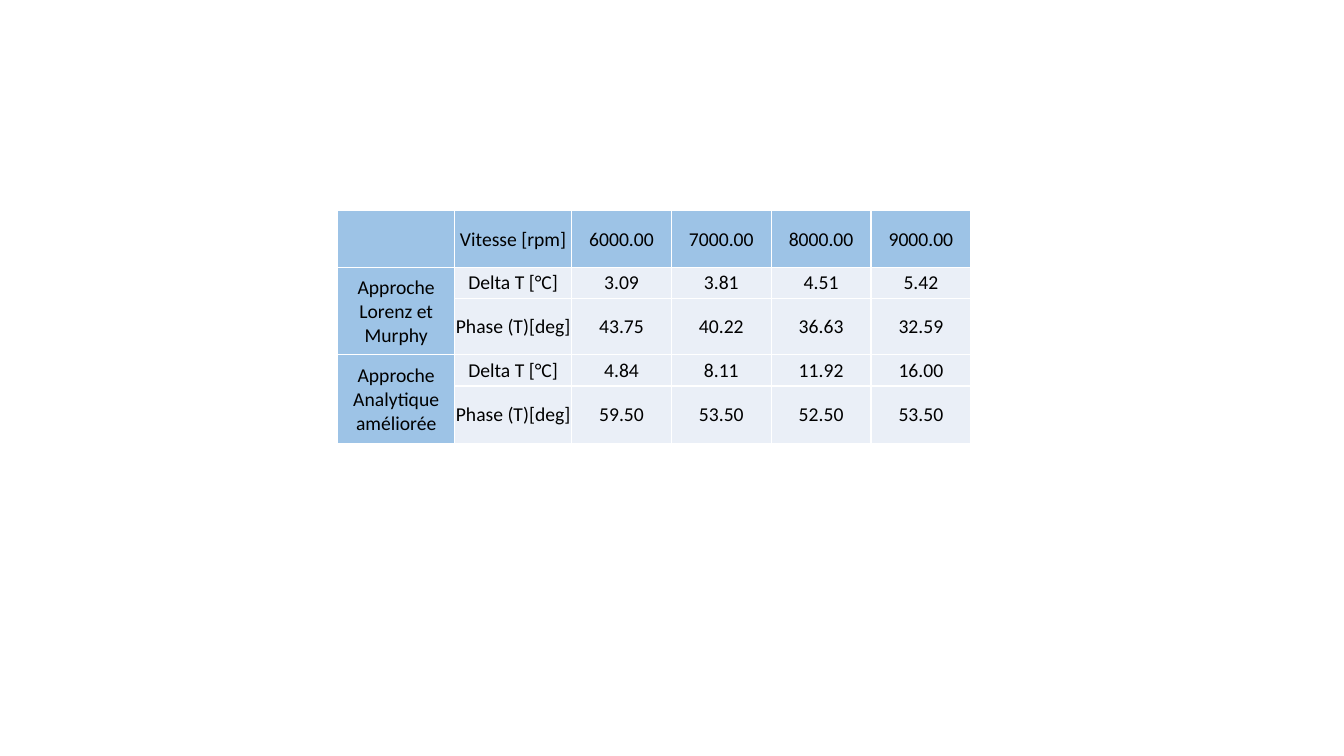
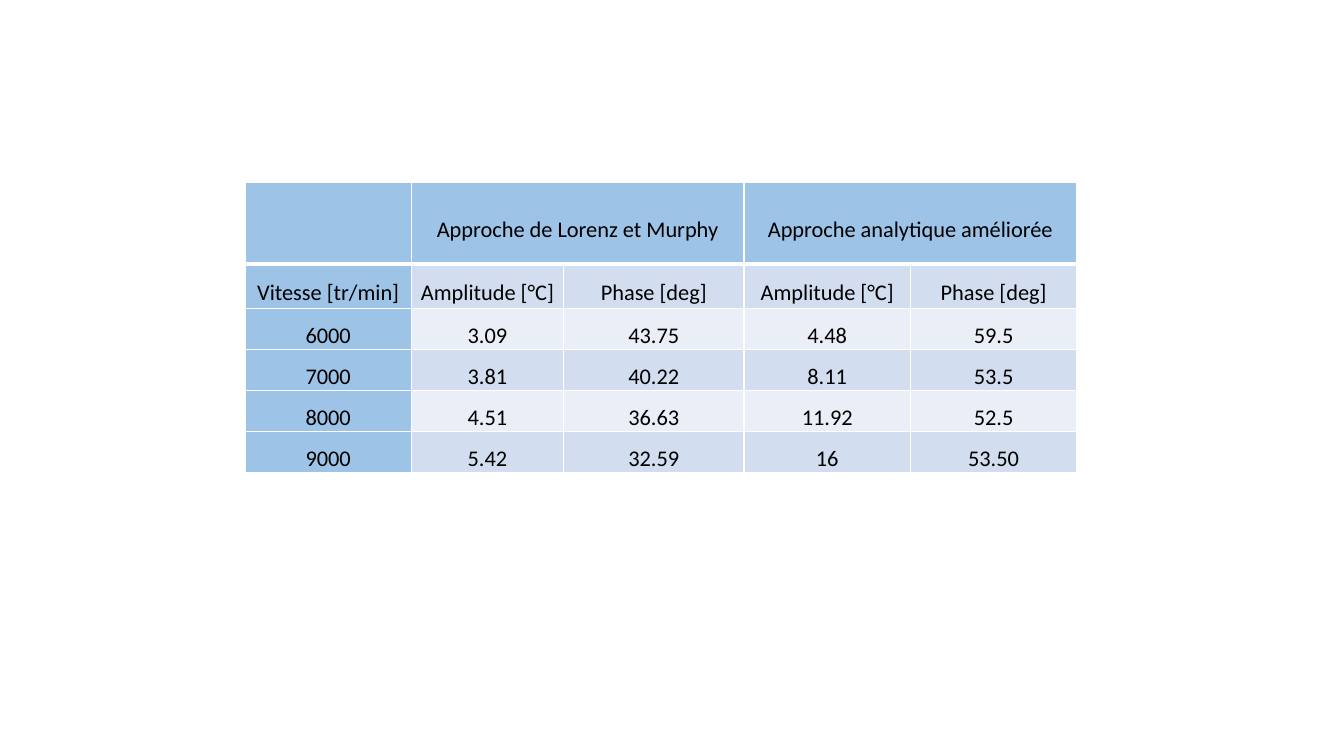
from lxml.etree import SubElement
from pptx import Presentation
from pptx.dml.color import RGBColor
from pptx.enum.text import MSO_ANCHOR, PP_ALIGN
from pptx.oxml.ns import qn
from pptx.util import Inches, Pt

FONT = "Calibri"
COLORS = {"header": "9DC3E6", "light": "EAEFF7", "band": "D2DEEF",
          "border": "FFFFFF", "text": "000000"}

# Content: None marks a cell covered by a merged neighbour;
# merges are (first row, first column, last row, last column)
TABLES = [
    {
        "rows": [
            ["", "Vitesse [rpm]", "6000.00", "7000.00", "8000.00", "9000.00"],
            ["Approche Lorenz et Murphy", "Delta T [°C]", "3.09", "3.81", "4.51", "5.42"],
            [None, "Phase (T)[deg]", "43.75", "40.22", "36.63", "32.59"],
            ["Approche Analytique améliorée", "Delta T [°C]", "4.84", "8.11", "11.92", "16.00"],
            [None, "Phase (T)[deg]", "59.50", "53.50", "52.50", "53.50"],
        ],
        "merges": [(1, 0, 2, 0), (3, 0, 4, 0)],
        "origin": (3.35, 2.09),
        "widths": [1.16] * 2 + [0.99] * 4,
        "heights": [0.56, 0.31, 0.56, 0.31, 0.57],
        "bands": ["light"],
        "size": 14, "margins": (0.01, 0.01, 0.01, 0),
        "line_spacing": 1.0, "space_before": 0, "header_rule": 1,
    },
    {
        "rows": [
            ["", "Approche de Lorenz et Murphy", None, "Approche analytique améliorée", None],
            ["Vitesse [tr/min]"] + ["Amplitude [°C]", "Phase [deg]"] * 2,
            ["6000", "3.09", "43.75", "4.48", "59.5"],
            ["7000", "3.81", "40.22", "8.11", "53.5"],
            ["8000", "4.51", "36.63", "11.92", "52.5"],
            ["9000", "5.42", "32.59", "16", "53.50"],
        ],
        "merges": [(0, 1, 0, 2), (0, 3, 0, 4)],
        "origin": (2.43, 1.81),
        "widths": [1.65, 1.51, 1.79, 1.65, 1.65],
        "heights": [0.81, 0.44] + [0.38] * 4,
        "bands": ["band", "light"],
        "size": 16, "margins": (0.07, 0, 0.07, 0),
        "line_spacing": 1.5, "space_before": 6, "header_rule": 3,
    },
]


def set_borders(cell, top, bottom):
    """Draw the four cell borders; must run before the fill is set."""
    tcPr = cell._tc.get_or_add_tcPr()
    for side, width in (("L", 1), ("R", 1), ("T", top), ("B", bottom)):
        ln = SubElement(tcPr, qn(f"a:ln{side}"), w=str(Pt(width)))
        fill = SubElement(ln, qn("a:solidFill"))
        SubElement(fill, qn("a:srgbClr"), val=COLORS["border"])


def set_text(cell, text, data):
    cell.vertical_anchor = MSO_ANCHOR.MIDDLE
    (cell.margin_left, cell.margin_top,
     cell.margin_right, cell.margin_bottom) = map(Inches, data["margins"])
    p = cell.text_frame.paragraphs[0]
    p.text = text
    p.alignment = PP_ALIGN.CENTER
    p.line_spacing = data["line_spacing"]
    p.space_before = Pt(data["space_before"])
    for r in p.runs:
        r.font.name = FONT
        r.font.size = Pt(data["size"])
        r.font.color.rgb = RGBColor.from_string(COLORS["text"])


def add_data_table(slide, data):
    rows, widths, heights = data["rows"], data["widths"], data["heights"]
    box = (*data["origin"], sum(widths), sum(heights))
    table = slide.shapes.add_table(len(rows), len(widths), *map(Inches, box)).table
    for column, width in zip(table.columns, widths):
        column.width = Inches(width)
    for row, height in zip(table.rows, heights):
        row.height = Inches(height)

    for i, row in enumerate(rows):
        for j, text in enumerate(row):
            cell = table.cell(i, j)
            set_borders(cell, top=data["header_rule"] if i == 1 else 1,
                        bottom=data["header_rule"] if i == 0 else 1)
            # First row and column are headers, the body cycles its bands
            bands = data["bands"]
            color = "header" if i == 0 or j == 0 else bands[(i - 1) % len(bands)]
            cell.fill.solid()
            cell.fill.fore_color.rgb = RGBColor.from_string(COLORS[color])
            if text is not None:
                set_text(cell, text, data)

    for top, left, bottom, right in data["merges"]:
        table.cell(top, left).merge(table.cell(bottom, right))


def main():
    prs = Presentation()
    prs.slide_width, prs.slide_height = Inches(13.33), Inches(7.5)
    blank = prs.slide_layouts[6]
    for data in TABLES:
        add_data_table(prs.slides.add_slide(blank), data)
    prs.save("out.pptx")


if __name__ == "__main__":
    main()
